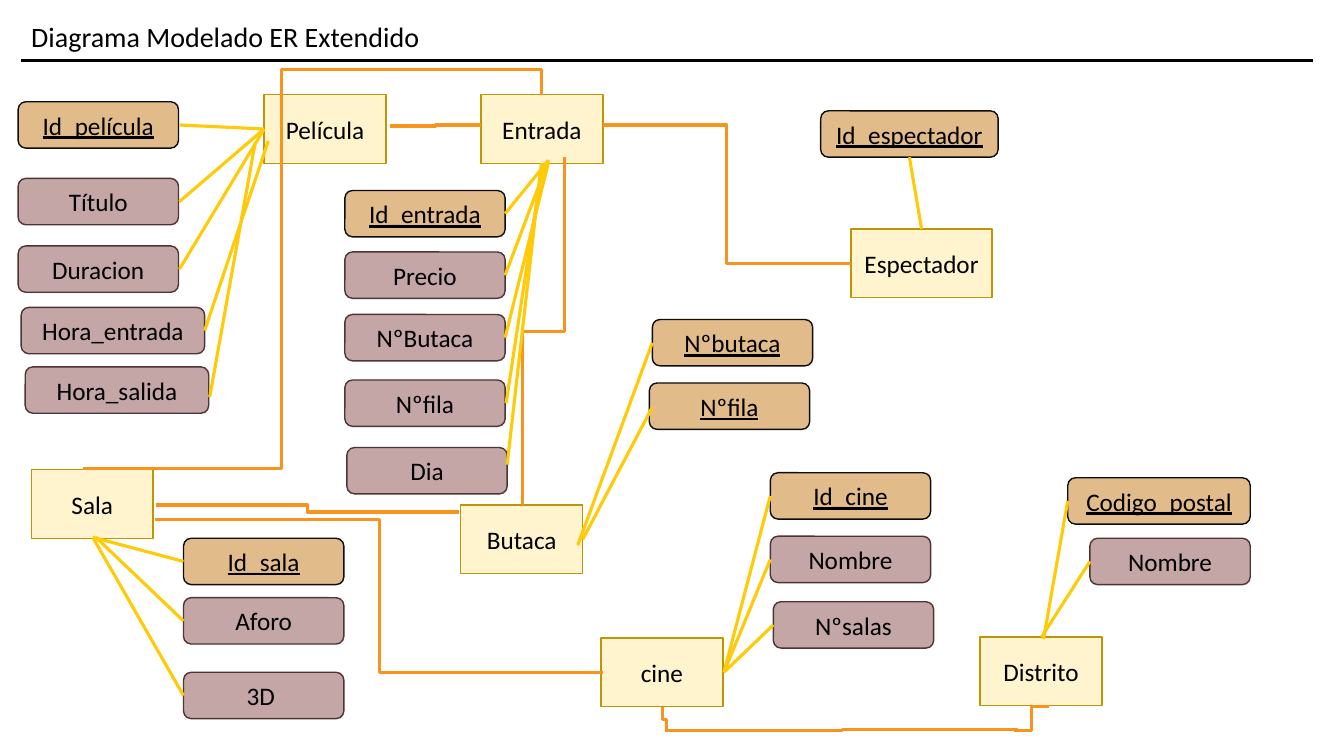
"""Build the extended ER model slide for a cinema."""
from dataclasses import dataclass

from lxml import etree
from pptx import Presentation
from pptx import util as u
from pptx.dml.color import RGBColor
from pptx.enum import shapes, text
from pptx.oxml import ns

Point = tuple[int, int]


@dataclass(frozen=True)
class Theme:
    font: str = "Calibri"
    ink: str = "000000"
    spoke: str = "FFCA08"
    relation: str = "F8931D"
    title_pt: float = 20
    label_pt: float = 18
    outline_pt: float = 1
    rule_pt: float = 1.5
    link_pt: float = 2.25
    hairline_pt: float = 0.5


@dataclass(frozen=True)
class Kind:
    outline: shapes.MSO_SHAPE
    fill: str
    edge: str
    width: int
    height: int
    underline: bool = False


@dataclass(frozen=True)
class Node:
    label: str
    left: int
    top: int
    kind: Kind
    width: int = 0


@dataclass(frozen=True)
class Fan:
    hub: Point
    tips: tuple[Point, ...]


@dataclass(frozen=True)
class Relation:
    start: Point
    end: Point
    vertical: bool = False
    adjust: tuple[int, ...] = ()


THEME = Theme()
PX = 9144
ENTITY = Kind(shapes.MSO_SHAPE.RECTANGLE, "FFF4CE", "BD9506", 121, 68)
KEY = Kind(shapes.MSO_SHAPE.ROUNDED_RECTANGLE, "E2BB8B", "0D0D0D", 159, 46, True)
FIELD = Kind(shapes.MSO_SHAPE.ROUNDED_RECTANGLE, "C4A6A6", "4F3434", 159, 46)

NODES = (
    Node("Película", 262, 94, ENTITY),
    Node("Id_película", 18, 101, KEY),
    Node("Título", 18, 177, FIELD),
    Node("Duracion", 18, 244, FIELD),
    Node("Hora_entrada", 21, 305, FIELD, 182),
    Node("Hora_salida", 25, 364, FIELD, 182),
    Node("Entrada", 477, 94, ENTITY),
    Node("Id_entrada", 342, 189, KEY),
    Node("Precio", 342, 250, FIELD),
    Node("NºButaca", 342, 312, FIELD),
    Node("Nºfila", 342, 377, FIELD),
    Node("Dia", 344, 444, FIELD),
    Node("Espectador", 844, 227, ENTITY, 140),
    Node("Id_espectador", 814, 110, KEY, 176),
    Node("Butaca", 457, 501, ENTITY),
    Node("Nºbutaca", 647, 317, KEY),
    Node("Nºfila", 644, 380, KEY),
    Node("Sala", 31, 466, ENTITY),
    Node("Id_sala", 182, 534, KEY),
    Node("Aforo", 182, 593, FIELD),
    Node("3D ", 182, 667, FIELD),
    Node("cine", 596, 633, ENTITY),
    Node("Id_cine", 764, 469, KEY),
    Node("Nombre", 764, 532, FIELD),
    Node("Nºsalas", 767, 597, FIELD),
    Node("Distrito", 972, 632, ENTITY),
    Node("Codigo_postal", 1059, 474, KEY, 181),
    Node("Nombre", 1081, 534, FIELD),
)

FANS = (
    Fan((262, 128), ((178, 124), (178, 200), (178, 267))),
    Fan((266, 140), ((203, 328),)),
    Fan((253, 142), ((208, 394),)),
    Fan((544, 159), ((501, 212), (501, 273))),
    Fan((544, 161), ((501, 335),)),
    Fan((538, 162), ((502, 400),)),
    Fan((537, 162), ((503, 461),)),
    Fan((914, 227), ((902, 156),)),
    Fan((573, 541), ((647, 340),)),
    Fan((578, 535), ((647, 404),)),
    Fan((92, 533), ((182, 557), (182, 690))),
    Fan((95, 533), ((182, 616),)),
    Fan((718, 667), ((764, 492), (764, 555), (767, 620))),
    Fan((1035, 634), ((1059, 497),)),
    Fan((1033, 632), ((1081, 557),)),
)

RELATIONS = (
    Relation((477, 124), (387, 125)),
    Relation((154, 515), (598, 667)),
    Relation((560, 156), (518, 501), vertical=True),
    Relation((598, 124), (844, 261)),
    Relation((1006, 725), (1040, 701)),
    Relation((661, 725), (1010, 724)),
    Relation((657, 701), (661, 726), vertical=True),
    Relation((155, 501), (455, 508)),
    Relation((537, 94), (82, 465), vertical=True, adjust=(-6700, 56700)),
)


def px(length: float) -> int:
    return round(length * PX)


def write(frame, content: str, *, size: float, align=text.PP_ALIGN.CENTER,
          anchor=text.MSO_ANCHOR.MIDDLE, underline: bool = False) -> None:
    frame.word_wrap = True
    frame.auto_size = text.MSO_AUTO_SIZE.NONE
    frame.vertical_anchor = anchor
    paragraph = frame.paragraphs[0]
    paragraph.alignment = align
    run = paragraph.add_run()
    run.text = content
    run.font.name = THEME.font
    run.font.size = u.Pt(size)
    run.font.underline = underline
    run.font.color.rgb = RGBColor.from_string(THEME.ink)


def draw_node(slide, node: Node) -> None:
    kind = node.kind
    box = slide.shapes.add_shape(kind.outline, px(node.left), px(node.top),
                                 px(node.width or kind.width), px(kind.height))
    box.shadow.inherit = False
    box.fill.solid()
    box.fill.fore_color.rgb = RGBColor.from_string(kind.fill)
    box.line.color.rgb = RGBColor.from_string(kind.edge)
    box.line.width = u.Pt(THEME.outline_pt)
    write(box.text_frame, node.label, size=THEME.label_pt, underline=kind.underline)


def draw_line(slide, start, end, color: str, weight: float,
              route=shapes.MSO_CONNECTOR.STRAIGHT):
    line = slide.shapes.add_connector(route, *map(px, (*start, *end)))
    line.line.color.rgb = RGBColor.from_string(color)
    line.line.width = u.Pt(weight)
    etree.SubElement(line._element.spPr, ns.qn("a:effectLst"))
    return line


def draw_relation(slide, relation: Relation) -> None:
    (x1, y1), (x2, y2) = start, end = relation.start, relation.end
    if relation.vertical:
        mid_x, mid_y = (x1 + x2) / 2, (y1 + y2) / 2
        half_w, half_h = (y2 - y1) / 2, (x2 - x1) / 2
        start = (mid_x + half_w, mid_y - half_h)
        end = (mid_x - half_w, mid_y + half_h)
    elbow = draw_line(slide, start, end, THEME.relation, THEME.link_pt,
                      shapes.MSO_CONNECTOR.ELBOW)
    properties = elbow._element.spPr
    if relation.vertical:
        properties.find(ns.qn("a:xfrm")).set("rot", str(270 * 60000))
    if relation.adjust:
        geometry = properties.find(ns.qn("a:prstGeom"))
        geometry.set("prst", f"bentConnector{len(relation.adjust) + 2}")
        guides = geometry.find(ns.qn("a:avLst"))
        if guides is None:
            guides = etree.SubElement(geometry, ns.qn("a:avLst"))
        for number, value in enumerate(relation.adjust, 1):
            etree.SubElement(guides, ns.qn("a:gd"), name=f"adj{number}",
                             fmla=f"val {value}")


def main() -> None:
    deck = Presentation()
    deck.slide_width, deck.slide_height = px(1333), px(750)
    slide = deck.slides.add_slide(deck.slide_layouts[5])
    heading = slide.shapes.title
    heading.left, heading.top, heading.width, heading.height = map(px, (21, 14, 597, 44))
    write(heading.text_frame, "Diagrama Modelado ER Extendido", size=THEME.title_pt,
          align=text.PP_ALIGN.LEFT, anchor=text.MSO_ANCHOR.TOP)
    draw_line(slide, (21, 60), (1302, 60), THEME.ink, THEME.rule_pt)
    for node in NODES:
        draw_node(slide, node)
    for relation in RELATIONS:
        draw_relation(slide, relation)
    draw_line(slide, (664, 725), (1022, 725), THEME.relation, THEME.hairline_pt)
    for fan in FANS:
        for tip in fan.tips:
            draw_line(slide, fan.hub, tip, THEME.spoke, THEME.link_pt)
    deck.save("out.pptx")


if __name__ == "__main__":
    main()
